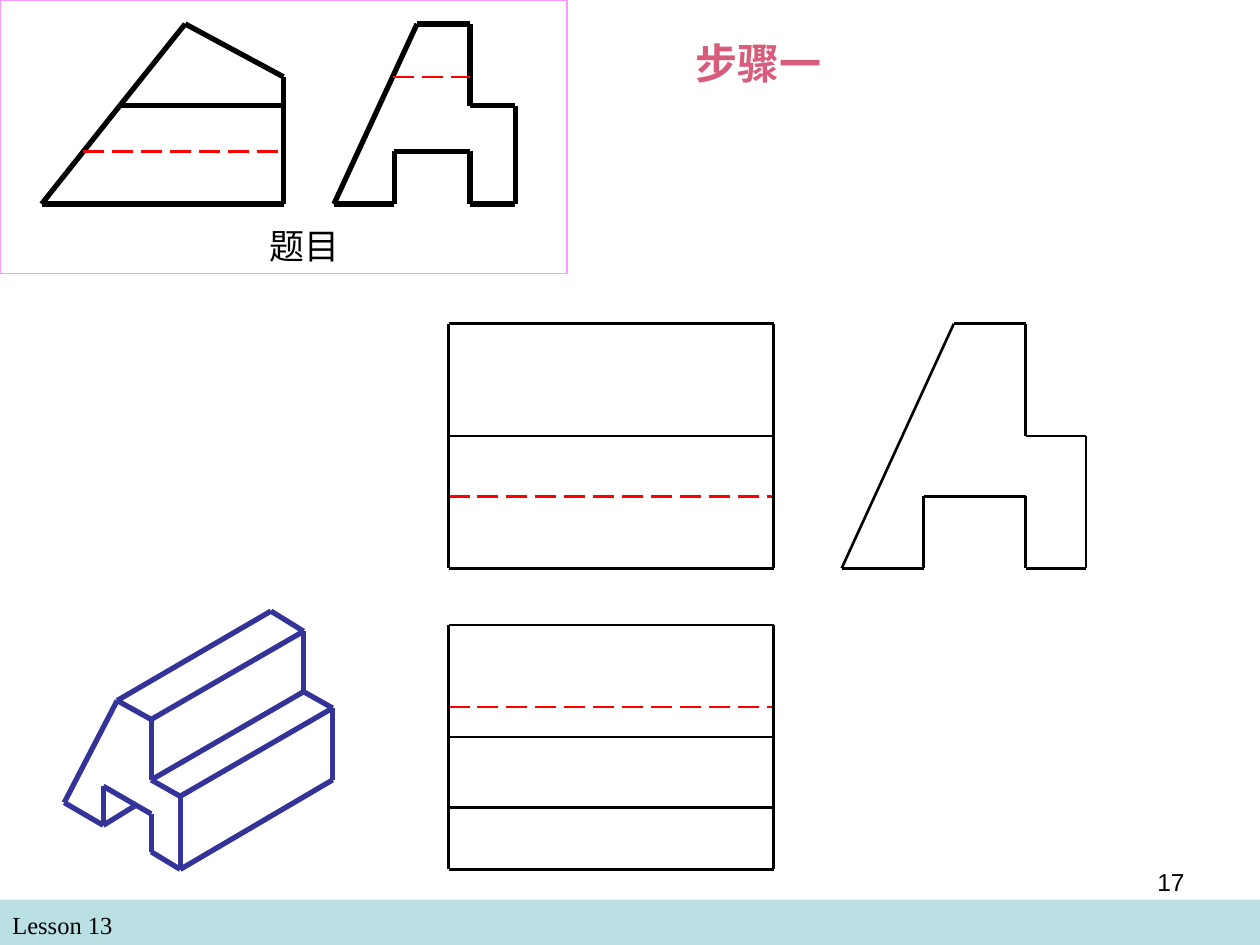
import itertools
from typing import Any, NamedTuple

import lxml.etree
import pptx
import pptx.dml.color
import pptx.enum.dml
import pptx.enum.shapes
import pptx.enum.text
import pptx.oxml.ns
import pptx.util

Inches = pptx.util.Inches
Align = pptx.enum.text.PP_ALIGN
Point = tuple[float, float]

COLORS = {
    "black": "000000",
    "red": "FF0000",
    "blue": "333399",
    "rose": "DA5C7D",
    "pink": "FF99FF",
    "bar": "BBE0E3",
}


class Pen(NamedTuple):
    color: str
    width: float
    dash: bool = False


class Chain(NamedTuple):
    pen: Pen
    points: list[Point]


THIN = Pen("black", 1.5)
THICK = Pen("black", 3)
SOLID = Pen("blue", 3)
HIDDEN = Pen("red", 1.5, True)

LEFT, RIGHT = 3.56, 6.14
FRONT = [2.57, 3.46, 4.51]
TOP = [4.96, 5.85, 6.41, 6.9]


def level(pen: Pen, y: float, left: float = LEFT, right: float = RIGHT) -> Chain:
    return Chain(pen, [(left, y), (right, y)])


def view(rows: list[float]) -> list[Chain]:
    sides = [
        Chain(THIN, [(x, y) for y in rows])
        for x in (LEFT, RIGHT)
    ]
    return sides + [level(THIN, y) for y in rows]


VIEWS = [
    level(HIDDEN, 3.94),
    level(HIDDEN, 5.61),
    *view(FRONT),
    *view(TOP),
    Chain(THIN, [
        (8.14, 4.51), (8.62, 4.51), (8.62, 3.46), (8.14, 3.46),
        (8.14, 2.57), (7.57, 2.57), (6.68, 4.51), (7.33, 4.51),
        (7.33, 3.94), (8.14, 3.94), (8.14, 4.51),
    ]),
]

BLOCK = [
    Chain(SOLID, [
        (0.82, 6.55), (0.51, 6.37), (0.93, 5.56), (2.15, 4.85),
        (2.41, 5.01), (2.41, 5.49), (2.64, 5.62), (2.64, 6.19),
        (1.43, 6.9), (1.2, 6.76), (1.2, 6.46), (0.82, 6.24),
        (0.82, 6.55), (1.08, 6.39),
    ]),
    Chain(SOLID, [
        (0.93, 5.56), (1.2, 5.71), (1.2, 6.19), (1.43, 6.32), (1.43, 6.9),
    ]),
    Chain(SOLID, [(1.2, 5.71), (2.41, 5.01)]),
    Chain(SOLID, [(1.2, 6.19), (2.41, 5.49)]),
    Chain(SOLID, [(1.43, 6.32), (2.64, 5.62)]),
]

TASK = [
    Chain(THICK, [
        (0.95, 0.84), (0.33, 1.62), (2.25, 1.62), (2.25, 0.84),
        (2.25, 0.61), (1.47, 0.19), (0.95, 0.84), (2.25, 0.84),
    ]),
    Chain(THICK, [
        (3.73, 1.62), (4.09, 1.62), (4.09, 0.84), (3.73, 0.84),
        (3.73, 0.19), (3.31, 0.19), (2.65, 1.62), (3.13, 1.62),
        (3.13, 1.2), (3.73, 1.2), (3.73, 1.62),
    ]),
    level(HIDDEN, 1.2, 0.66, 2.25),
    level(HIDDEN, 0.61, 3.12, 3.73),
]


def tint(name: str) -> pptx.dml.color.RGBColor:
    return pptx.dml.color.RGBColor.from_string(COLORS[name])


def draw(shapes: Any, chains: list[Chain]) -> None:
    kind = pptx.enum.shapes.MSO_CONNECTOR.STRAIGHT
    for pen, points in chains:
        for start, end in itertools.pairwise(points):
            edge = shapes.add_connector(kind, *map(Inches, start + end))
            edge.line.color.rgb = tint(pen.color)
            edge.line.width = pptx.util.Pt(pen.width)
            if pen.dash:
                edge.line.dash_style = pptx.enum.dml.MSO_LINE.LONG_DASH
            lxml.etree.SubElement(
                edge._element.spPr, pptx.oxml.ns.qn("a:effectLst")
            )


def box(shapes: Any, *area: float, fill: str = "", line: str = "") -> None:
    kind = pptx.enum.shapes.MSO_SHAPE.RECTANGLE
    rect = shapes.add_shape(kind, *map(Inches, area))
    rect.shadow.inherit = False
    if fill:
        rect.fill.solid()
        rect.fill.fore_color.rgb = tint(fill)
    else:
        rect.fill.background()
    if line:
        rect.line.color.rgb = tint(line)
        rect.line.width = pptx.util.Pt(0.75)
    else:
        rect.line.fill.background()


def write(
    shapes: Any,
    text: str,
    *area: float,
    size: float = 14,
    font: str = "Times New Roman",
    color: str = "black",
    bold: bool = False,
    align: Align = Align.LEFT,
) -> None:
    frame = shapes.add_textbox(*map(Inches, area)).text_frame
    frame.word_wrap = True
    para = frame.paragraphs[0]
    para.alignment = align
    run = para.add_run()
    run.text = text
    run.font.name = font
    run.font.size = pptx.util.Pt(size)
    run.font.bold = bold
    run.font.color.rgb = tint(color)


def main() -> None:
    deck = pptx.Presentation()
    deck.slide_width = Inches(10)
    deck.slide_height = Inches(7.5)
    shapes = deck.slides.add_slide(deck.slide_layouts[6]).shapes

    box(shapes, 0, 7.14, 10, 0.36, fill="bar")
    write(shapes, "Lesson 13", 0, 7.17, 4.83, 0.34)

    draw(shapes.add_group_shape().shapes, VIEWS)
    draw(shapes.add_group_shape().shapes, BLOCK)
    write(shapes, "步骤一", 5.42, 0.25, 1.42, 0.5,
          size=24, color="rose", bold=True)

    task = shapes.add_group_shape().shapes
    draw(task, TASK)
    box(task, 0, 0, 4.5, 2.17, line="pink")
    write(task, "题目", 1.83, 1.73, 1.17, 0.44, size=20, align=Align.CENTER)

    write(shapes, "17", 7.17, 6.83, 2.33, 0.52, font="Arial", align=Align.RIGHT)
    deck.save("out.pptx")


if __name__ == "__main__":
    main()
